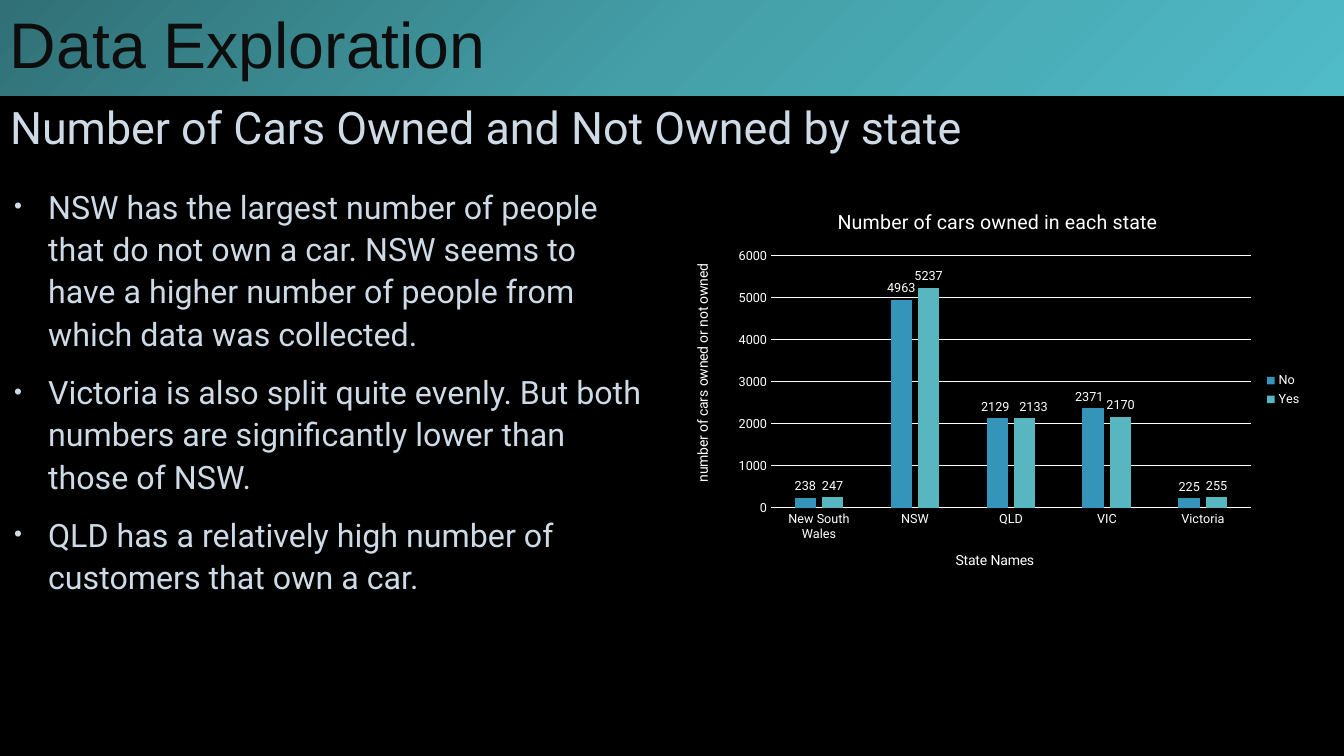
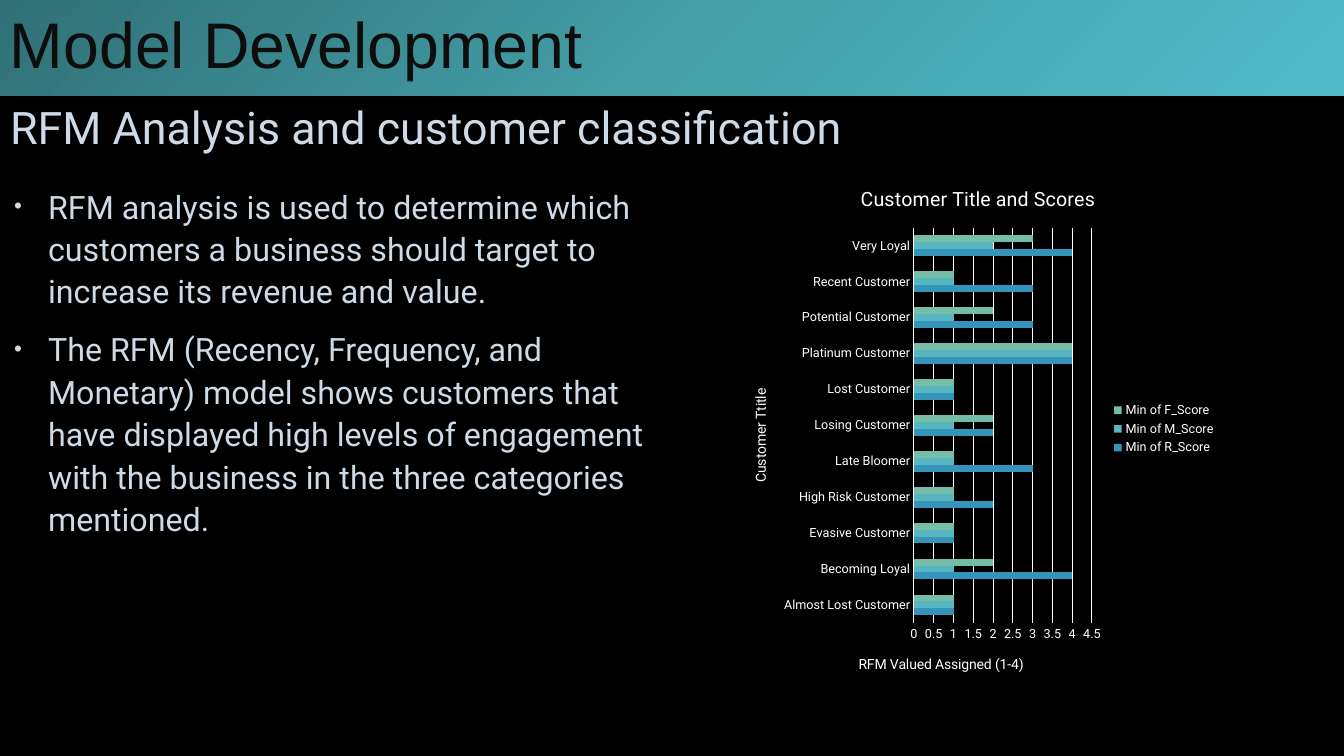
from lxml import etree
from pptx import Presentation
from pptx.chart.data import CategoryChartData
from pptx.dml.color import RGBColor
from pptx.enum.chart import (XL_CHART_TYPE as ChartType, XL_LABEL_POSITION as LabelPosition,
                             XL_LEGEND_POSITION as LegendPosition, XL_TICK_MARK as TickMark)
from pptx.enum.shapes import MSO_SHAPE as Preset
from pptx.enum.text import MSO_ANCHOR as Anchor, MSO_AUTO_SIZE as AutoSize, PP_ALIGN as Align
from pptx.oxml import parse_xml
from pptx.oxml.ns import nsdecls, qn
from pptx.util import Emu, Pt

# Shared look
PX_PER_INCH = 100.8
SLIDE_WIDTH, SLIDE_HEIGHT = 1344, 756
BAND_HEIGHT = 96
BACKGROUND, WHITE, PALE, INK = "000000", "FFFFFF", "CEDBE6", "0D0D0D"
BLUE, TEAL, GREEN = "3494BA", "58B6C0", "75BDA7"
BAND_STOPS = [(0, "307076"), (50, "449FA8"), (100, "50BCC8")]
BODY_FONT, BAND_FONT = "Roboto", "Arial"


def px(length):
    return Emu(round(length * 914400 / PX_PER_INCH))


def rgb(hex_color):
    return RGBColor.from_string(hex_color)


def move(shape, left, top, width, height):
    shape.left, shape.top, shape.width, shape.height = map(px, (left, top, width, height))


def set_font(font, size, color=WHITE, name=BODY_FONT):
    font.size, font.name, font.bold = Pt(size), name, False
    font.color.rgb = rgb(color)


def write(frame, *texts, size, color=PALE, name=BODY_FONT, anchor=Anchor.TOP,
          spacing=0.9, before=0, after=0, bullet=False):
    """Fill a text frame with one paragraph per text."""
    frame.word_wrap = True
    frame.auto_size = AutoSize.NONE
    frame.vertical_anchor = anchor
    for index, text in enumerate(texts):
        paragraph = frame.add_paragraph() if index else frame.paragraphs[0]
        paragraph.alignment = Align.LEFT
        paragraph.line_spacing = spacing
        paragraph.space_before, paragraph.space_after = Pt(before), Pt(after)
        run = paragraph.add_run()
        run.text = text
        set_font(run.font, size, color, name)
        if bullet:
            add_bullet(paragraph, color)


def add_bullet(paragraph, color):
    properties = paragraph._p.get_or_add_pPr()
    properties.set("marL", str(px(38)))
    properties.set("indent", str(px(-34)))
    for xml in (f'<a:buClr {nsdecls("a")}><a:srgbClr val="{color}"/></a:buClr>',
                f'<a:buSzPct {nsdecls("a")} val="70000"/>',
                f'<a:buFont {nsdecls("a")} typeface="Arial"/>',
                f'<a:buChar {nsdecls("a")} char="•"/>'):
        properties.append(parse_xml(xml))


# Slide frame: band, heading and bullet list
def add_band(slide, text):
    band = slide.shapes.add_shape(Preset.RECTANGLE, 0, 0, px(SLIDE_WIDTH), px(BAND_HEIGHT))
    band.shadow.inherit = False
    band.line.fill.background()
    stops = "".join(f'<a:gs pos="{position * 1000}"><a:srgbClr val="{color}"/></a:gs>'
                    for position, color in BAND_STOPS)
    gradient = parse_xml(
        f'<a:gradFill {nsdecls("a")} rotWithShape="1"><a:gsLst>{stops}</a:gsLst>'
        '<a:path path="circle"><a:fillToRect r="100000" b="100000"/></a:path></a:gradFill>')
    band._element.spPr.find(qn("a:prstGeom")).addnext(gradient)
    write(band.text_frame, text, size=46, color=INK, name=BAND_FONT, anchor=Anchor.MIDDLE)


def add_content_slide(presentation, section, heading, bullets, body_height):
    slide = presentation.slides.add_slide(presentation.slide_layouts[1])
    title, body = slide.shapes.title, slide.placeholders[1]
    move(title, 0, BAND_HEIGHT, SLIDE_WIDTH, 68)
    write(title.text_frame, heading, size=32, anchor=Anchor.MIDDLE)
    move(body, 0, 178, 661, body_height)
    write(body.text_frame, *bullets, size=23, spacing=1.1, before=5, after=6, bullet=True)
    add_band(slide, section)
    return slide


# Charts
def add_manual_layout(layout, values):
    manual = etree.SubElement(layout, qn("c:manualLayout"))
    for tag, value in values:
        etree.SubElement(manual, qn(f"c:{tag}")).set("val", str(value))


def place(element, frame, left, top, width=None, height=None):
    """Pin a chart part at slide coordinates inside the chart frame."""
    layout = element.find(qn("c:layout"))
    if layout is None:
        layout = etree.Element(qn("c:layout"))
        element.insert(len(element.findall(qn("c:tx"))), layout)
    frame_left, frame_top, frame_width, frame_height = frame
    values = [("xMode", "edge"), ("yMode", "edge"),
              ("x", (left - frame_left) / frame_width), ("y", (top - frame_top) / frame_height)]
    if width:
        values = [("layoutTarget", "inner"), *values,
                  ("w", width / frame_width), ("h", height / frame_height)]
    add_manual_layout(layout, values)


def style_labels(labels):
    labels.position = LabelPosition.OUTSIDE_END
    set_font(labels.font, 9)


def nudge_label(point, frame, shift):
    """Move one data label sideways from its automatic place."""
    label = point.data_label
    style_labels(label)
    layout = etree.Element(qn("c:layout"))
    label._get_or_add_dLbl().find(qn("c:idx")).addnext(layout)
    add_manual_layout(layout, [("x", shift / frame[2]), ("y", 0)])


def add_chart_title(title, text, size, frame, position, upright=False):
    title.text_frame.text = text
    set_font(title.text_frame.paragraphs[0].runs[0].font, size)
    if upright:
        title.text_frame._txBody.bodyPr.set("rot", "-5400000")
        title.text_frame._txBody.bodyPr.set("vert", "horz")
    place(title._element, frame, *position)


def style_axis(axis):
    axis.major_tick_mark = axis.minor_tick_mark = TickMark.NONE
    set_font(axis.tick_labels.font, 9)


def add_bar_chart(slide, kind, frame, plot_box, categories, series, titles, maximum, step,
                  overlap=0, labels=False, label_shifts=()):
    """series: (name, colour, values); titles: (text, position) of chart, category, value;
    label_shifts: (series index, point index, px to the right)."""
    data = CategoryChartData()
    data.categories = categories
    for name, _, values in series:
        data.add_series(name, values)
    chart = slide.shapes.add_chart(kind, *map(px, frame), data).chart
    set_font(chart.font, 10)
    place(chart._chartSpace.chart.plotArea, frame, *plot_box)

    # Bars and their labels
    plot = chart.plots[0]
    plot.vary_by_categories = False
    plot.gap_width, plot.overlap = 219, overlap
    for bars, (_, color, _) in zip(plot.series, series):
        bars.format.fill.solid()
        bars.format.fill.fore_color.rgb = rgb(color)
        if labels:
            bars.data_labels.show_value = True
            style_labels(bars.data_labels)
    for series_index, point_index, shift in label_shifts:
        nudge_label(plot.series[series_index].points[point_index], frame, shift)

    # Axes
    category_axis, value_axis = chart.category_axis, chart.value_axis
    style_axis(category_axis)
    style_axis(value_axis)
    value_axis.minimum_scale, value_axis.maximum_scale = 0, maximum
    value_axis.major_unit = step
    value_axis.format.line.fill.background()
    value_axis.has_major_gridlines = True
    for line in (category_axis.format.line, value_axis.major_gridlines.format.line):
        line.color.rgb = rgb(WHITE)
        line.width = Pt(0.75)

    # Titles and legend
    chart.has_title = True
    horizontal = kind == ChartType.BAR_CLUSTERED
    parts = [(chart.chart_title, 14, False),
             (category_axis.axis_title, 10, horizontal),
             (value_axis.axis_title, 10, not horizontal)]
    for (title, size, upright), (text, position) in zip(parts, titles):
        add_chart_title(title, text, size, frame, position, upright)
    chart.has_legend = True
    chart.legend.position = LegendPosition.RIGHT
    chart.legend.include_in_layout = False
    set_font(chart.legend.font, 9)


def add_data_exploration(presentation):
    slide = add_content_slide(
        presentation, "Data Exploration", "Number of Cars Owned and Not Owned by state",
        ["NSW has the largest number of people that do not own a car. NSW seems to have "
         "a higher number of people from which data was collected.",
         "Victoria is also split quite evenly. But both numbers are significantly lower "
         "than those of NSW.",
         "QLD has a relatively high number of customers that own a car."],
        body_height=462)
    add_bar_chart(
        slide, ChartType.COLUMN_CLUSTERED, (682, 190, 630, 400), (771, 256, 480, 252),
        categories=["New South Wales", "NSW", "QLD", "VIC", "Victoria"],
        series=[("No", BLUE, [238, 4963, 2129, 2371, 225]),
                ("Yes", TEAL, [247, 5237, 2133, 2170, 255])],
        titles=[("Number of cars owned in each state", (834, 205)),
                ("State Names", (953, 549)),
                ("number of cars owned or not owned", (691, 261))],
        maximum=6000, step=1000, overlap=-27, labels=True,
        label_shifts=[(0, 2, -2), (0, 3, -4), (1, 2, 9)])


def add_model_development(presentation):
    slide = add_content_slide(
        presentation, "Model Development", "RFM Analysis and customer classification",
        ["RFM analysis is used to determine which customers a business should target to "
         "increase its revenue and value.",
         "The RFM (Recency, Frequency, and Monetary) model shows customers that have "
         "displayed high levels of engagement with the business in the three categories "
         "mentioned."],
        body_height=394)
    add_bar_chart(
        slide, ChartType.BAR_CLUSTERED, (730, 165, 496, 528), (914, 228, 178, 395),
        categories=["Almost Lost Customer", "Becoming Loyal", "Evasive Customer",
                    "High Risk Customer", "Late Bloomer", "Losing Customer", "Lost Customer",
                    "Platinum Customer", "Potential Customer", "Recent Customer", "Very Loyal"],
        series=[("Min of R_Score", BLUE, [1, 4, 1, 2, 3, 2, 1, 4, 3, 3, 4]),
                ("Min of M_Score", TEAL, [1, 1, 1, 1, 1, 1, 1, 4, 1, 1, 2]),
                ("Min of F_Score", GREEN, [1, 2, 1, 1, 1, 2, 1, 4, 2, 1, 3])],
        titles=[("Customer Title and Scores", (857, 182)),
                ("Customer Ttitle", (749, 386)),
                ("RFM Valued Assigned (1-4)", (856, 653))],
        maximum=4.5, step=0.5)


def main():
    presentation = Presentation()
    presentation.slide_width, presentation.slide_height = px(SLIDE_WIDTH), px(SLIDE_HEIGHT)
    background = presentation.slide_master.background.fill
    background.solid()
    background.fore_color.rgb = rgb(BACKGROUND)
    add_data_exploration(presentation)
    add_model_development(presentation)
    presentation.save("out.pptx")


if __name__ == "__main__":
    main()
